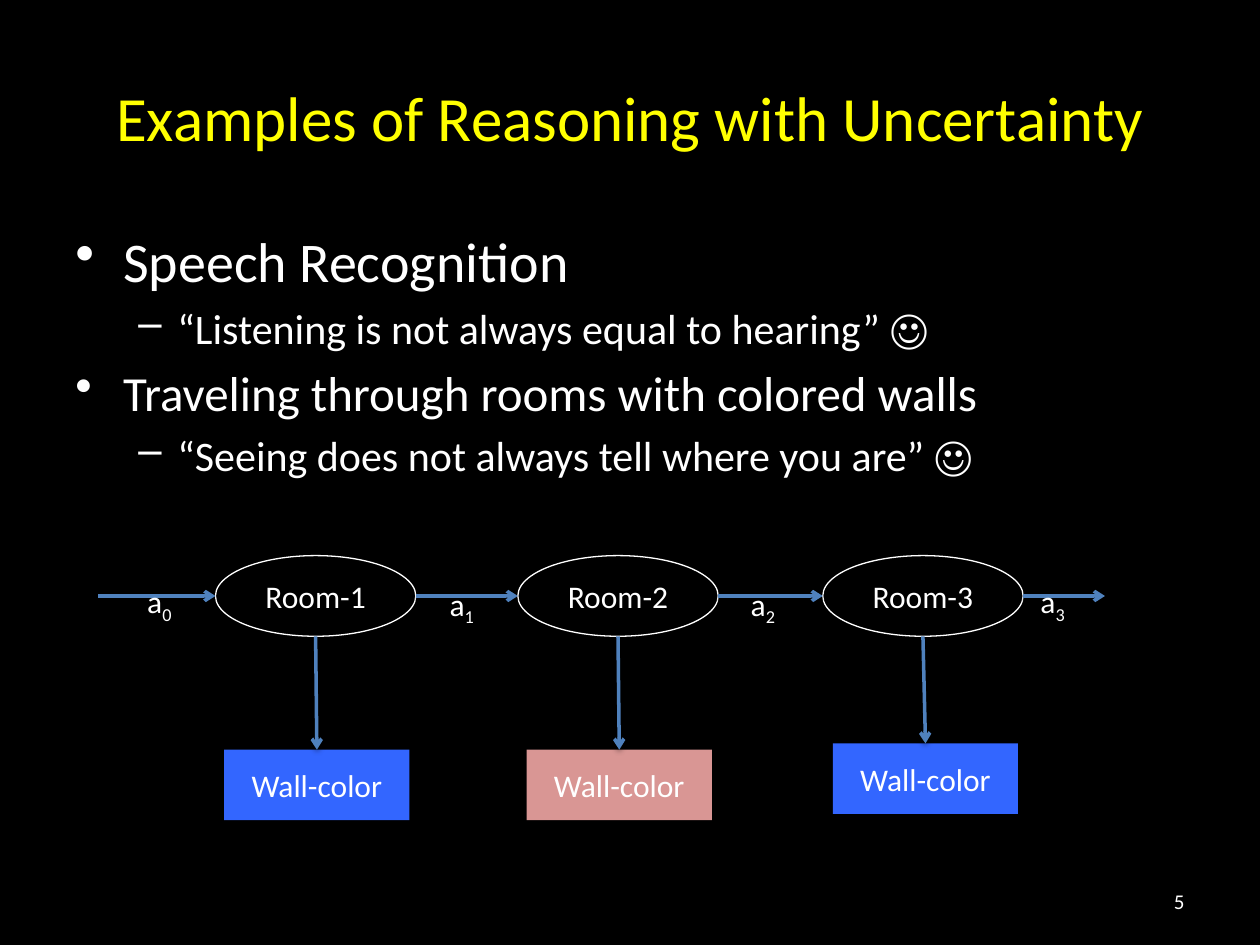
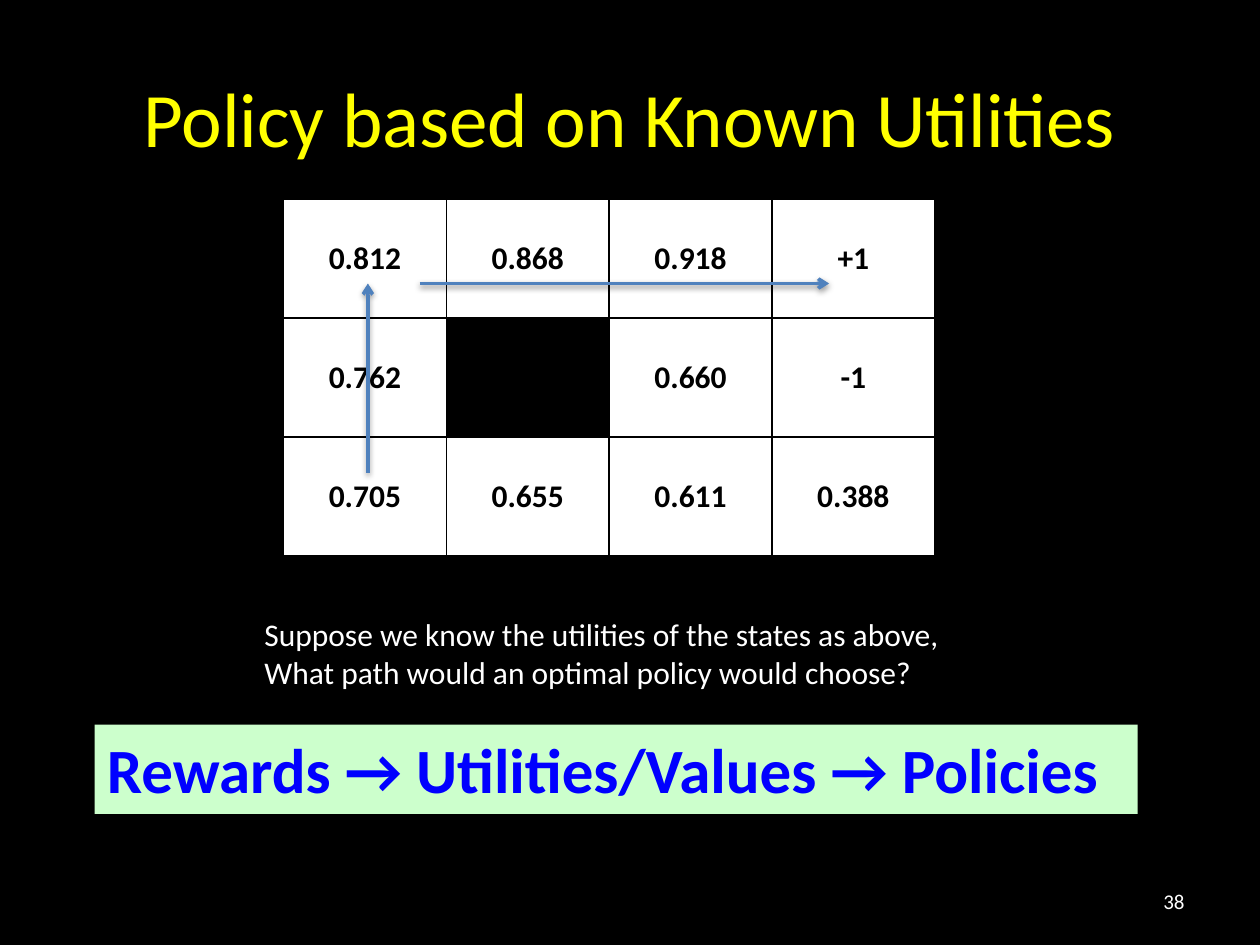
from lxml import etree
from pptx import Presentation
from pptx.dml.color import RGBColor
from pptx.enum.shapes import MSO_CONNECTOR, MSO_SHAPE
from pptx.enum.text import MSO_ANCHOR, PP_ALIGN
from pptx.oxml import parse_xml
from pptx.oxml.ns import nsdecls, qn
from pptx.util import Inches, Pt

LEFT, CENTER, RIGHT = PP_ALIGN.LEFT, PP_ALIGN.CENTER, PP_ALIGN.RIGHT
TOP, MIDDLE = MSO_ANCHOR.TOP, MSO_ANCHOR.MIDDLE
RECTANGLE, OVAL = MSO_SHAPE.RECTANGLE, MSO_SHAPE.OVAL
STRAIGHT = MSO_CONNECTOR.STRAIGHT

FONT = "Calibri"
BLACK, WHITE, YELLOW = "000000", "FFFFFF", "FFFF00"
ARROW_BLUE, WALL_BLUE, WALL_PINK = "4F81BD", "3366FF", "D99694"
BANNER_GREEN, BANNER_BLUE = "CCFFCC", "0000FF"

# Slide 1: (level, text, size)
EXAMPLES = [
    (0, "Speech Recognition", 32),
    (1, "“Listening is not always equal to hearing” ☺", 24),
    (0, "Traveling through rooms with colored walls", 28),
    (1, "“Seeing does not always tell where you are” ☺", 24),
]
# Level: (bullet, left margin, hanging indent)
BULLETS = {0: ("•", 0.38, 0.38), 1: ("–", 0.81, 0.31)}

# (room, room left, wall left, wall top, wall colour)
ROOMS = [
    ("Room-1", 1.71, 1.78, 5.95, WALL_BLUE),
    ("Room-2", 4.11, 4.18, 5.95, WALL_PINK),
    ("Room-3", 6.53, 6.61, 5.9, WALL_BLUE),
]
ROOM_TOP, ROOM_WIDTH, ROOM_HEIGHT = 4.41, 1.59, 0.64
WALL_WIDTH, WALL_HEIGHT = 1.47, 0.56
PATH_START, PATH_END = 0.78, 8.77
# (left, top) of the labels a0, a1, ...
ACTION_LABELS = [(1.07, 4.57), (3.47, 4.59), (5.86, 4.59), (8.16, 4.57)]

# Slide 2: None is the blocked state
UTILITIES = [
    ["0.812", "0.868", "0.918", "+1"],
    ["0.762", None, "0.660", "-1"],
    ["0.705", "0.655", "0.611", "0.388"],
]
UTILITY_GRID = (2.25, 1.58, 5.17, 2.83)
POLICY_ARROWS = [((2.92, 3.75), (2.92, 2.25)), ((3.33, 2.25), (6.58, 2.25))]
QUESTION = [
    "Suppose we know the utilities of the states as above,",
    "What path would an optimal policy would choose?",
]
BANNER = "Rewards → Utilities/Values → Policies"


def color(value):
    return RGBColor.from_string(value)


def inches(values):
    return [Inches(value) for value in values]


def style_paragraph(para, size, text_color, align=LEFT, bold=False):
    para.alignment = align
    for span in para.runs:
        span.font.name = FONT
        span.font.size = Pt(size)
        span.font.bold = bold
        span.font.color.rgb = color(text_color)


def write(box, lines, size, text_color, align=LEFT, anchor=TOP, bold=False):
    frame = box.text_frame
    frame.word_wrap = True
    frame.vertical_anchor = anchor
    frame.text = "\n".join(lines)
    for para in frame.paragraphs:
        style_paragraph(para, size, text_color, align, bold)


def add_text(page, place, lines, size, text_color, **style):
    box = page.shapes.add_textbox(*inches(place))
    write(box, lines, size, text_color, **style)
    return box


def add_box(page, kind, place, fill=None, outline=None):
    box = page.shapes.add_shape(kind, *inches(place))
    box.shadow.inherit = False
    if fill:
        box.fill.solid()
        box.fill.fore_color.rgb = color(fill)
    else:
        box.fill.background()
    if outline:
        box.line.color.rgb = color(outline)
        box.line.width = Pt(0.75)
    else:
        box.line.fill.background()
    return box


def add_arrow(page, start, end):
    """Draw a blue arrow with an open head and a soft shadow below it."""
    arrow = page.shapes.add_connector(STRAIGHT, *inches(start + end))
    arrow.line.color.rgb = color(ARROW_BLUE)
    arrow.line.width = Pt(2)
    etree.SubElement(arrow.line._get_or_add_ln(), qn("a:tailEnd"), type="arrow")
    arrow._element.spPr.append(parse_xml(
        f'<a:effectLst {nsdecls("a")}><a:outerShdw blurRad="40000" dist="20000" '
        f'dir="5400000" rotWithShape="0"><a:srgbClr val="{BLACK}">'
        '<a:alpha val="38000"/></a:srgbClr></a:outerShdw></a:effectLst>'))
    return arrow


def add_page(deck, title, title_size, number):
    page = deck.slides.add_slide(deck.slide_layouts[6])
    page.background.fill.solid()
    page.background.fill.fore_color.rgb = color(BLACK)
    add_text(page, (0.5, 0.3, 9, 1.25), [title], title_size, YELLOW,
             align=CENTER, anchor=MIDDLE)
    add_text(page, (7.17, 6.95, 2.33, 0.4), [str(number)], 12, WHITE,
             align=RIGHT, anchor=MIDDLE)
    return page


def add_examples(page):
    box = add_text(page, (0.5, 1.75, 9, 2.36), [text for _, text, _ in EXAMPLES],
                   24, WHITE)
    for index, (level, _, size) in enumerate(EXAMPLES):
        para = box.text_frame.paragraphs[index]
        bullet, margin, hanging = BULLETS[level]
        properties = para._p.get_or_add_pPr()
        properties.set("marL", str(Inches(margin)))
        properties.set("indent", str(-Inches(hanging)))
        etree.SubElement(properties, qn("a:buChar"), char=bullet)
        para.level = level
        style_paragraph(para, size, WHITE)
        if index:
            para.space_before = Pt(0.2 * size)


def add_rooms(page):
    middle = ROOM_TOP + ROOM_HEIGHT / 2
    bottom = ROOM_TOP + ROOM_HEIGHT
    for name, left, wall_left, wall_top, wall_color in ROOMS:
        room = add_box(page, OVAL, (left, ROOM_TOP, ROOM_WIDTH, ROOM_HEIGHT),
                       outline=WHITE)
        wall = add_box(page, RECTANGLE,
                       (wall_left, wall_top, WALL_WIDTH, WALL_HEIGHT), fill=wall_color)
        for box, text in ((room, name), (wall, "Wall-color")):
            write(box, [text], 18, WHITE, align=CENTER, anchor=MIDDLE)
        sight = add_arrow(page, (left + ROOM_WIDTH / 2, bottom),
                          (wall_left + WALL_WIDTH / 2, wall_top))
        sight.end_connect(wall, 0)

    lefts = [left for _, left, *_ in ROOMS]
    starts = [PATH_START] + [left + ROOM_WIDTH for left in lefts]
    for start, end in zip(starts, lefts + [PATH_END]):
        add_arrow(page, (start, middle), (end, middle))

    for index, (left, top) in enumerate(ACTION_LABELS):
        label = add_text(page, (left, top, 0.47, 0.54), ["a"], 18, WHITE)
        para = label.text_frame.paragraphs[0]
        subscript = para.add_run()
        subscript.text = str(index)
        style_paragraph(para, 18, WHITE)
        subscript._r.get_or_add_rPr().set("baseline", "-25000")


def add_cell_borders(cell):
    properties = cell._tc.get_or_add_tcPr()
    for side in ("lnL", "lnR", "lnT", "lnB"):
        properties.append(parse_xml(
            f'<a:{side} {nsdecls("a")} w="{Pt(1)}"><a:solidFill>'
            f'<a:srgbClr val="{BLACK}"/></a:solidFill></a:{side}>'))


def add_utility_grid(page):
    frame = page.shapes.add_table(len(UTILITIES), len(UTILITIES[0]),
                                  *inches(UTILITY_GRID))
    for row, values in enumerate(UTILITIES):
        for column, value in enumerate(values):
            cell = frame.table.cell(row, column)
            add_cell_borders(cell)
            cell.fill.solid()
            cell.fill.fore_color.rgb = color(WHITE if value else BLACK)
            if value:
                cell.vertical_anchor = MIDDLE
                cell.text_frame.text = value
                style_paragraph(cell.text_frame.paragraphs[0], 18, BLACK, CENTER, True)


def main():
    deck = Presentation()
    deck.slide_width, deck.slide_height = Inches(10), Inches(7.5)

    page = add_page(deck, "Examples of Reasoning with Uncertainty", 36, 5)
    add_examples(page)
    add_rooms(page)

    page = add_page(deck, "Policy based on Known Utilities", 44, 38)
    add_utility_grid(page)
    add_text(page, (2, 4.83, 5.63, 0.71), QUESTION, 18, WHITE)
    for start, end in POLICY_ARROWS:
        add_arrow(page, start, end)
    banner = add_box(page, RECTANGLE, (0.75, 5.75, 8.28, 0.71), fill=BANNER_GREEN)
    write(banner, [BANNER], 36, BANNER_BLUE, bold=True)

    deck.save("out.pptx")


if __name__ == "__main__":
    main()
